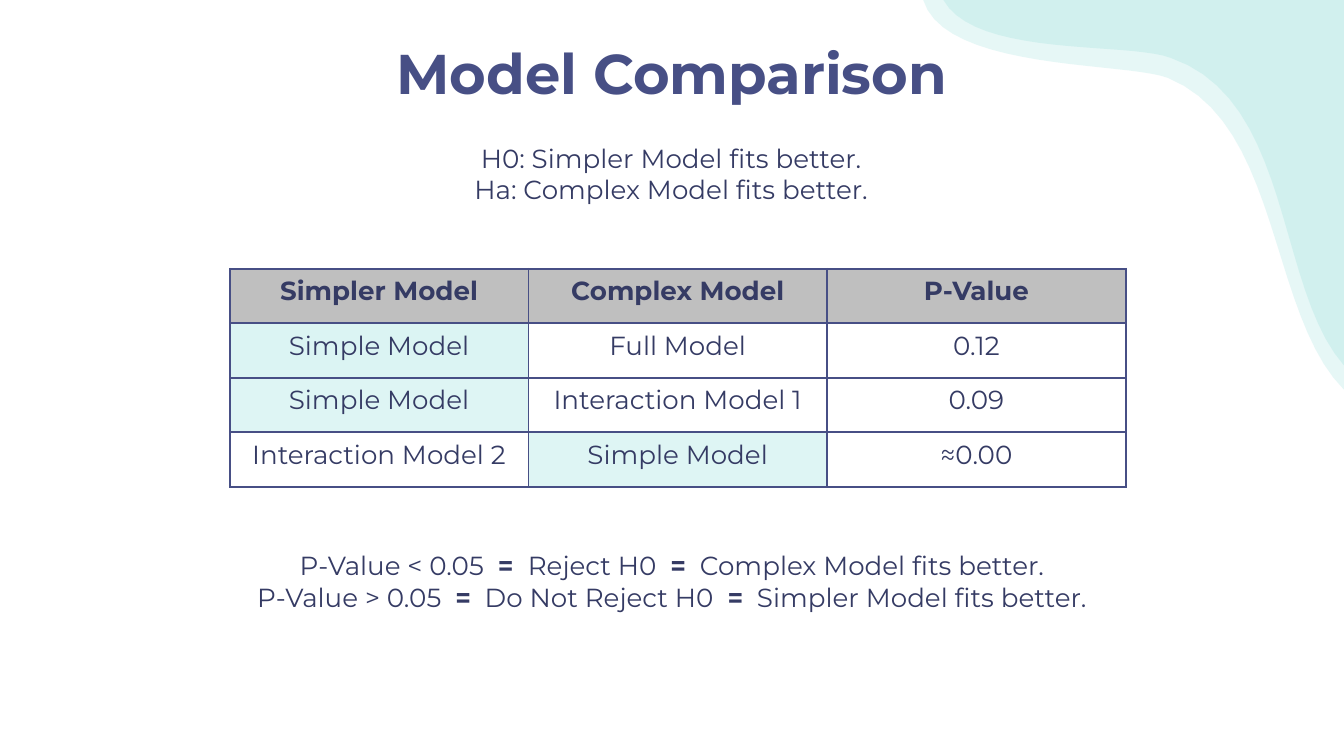
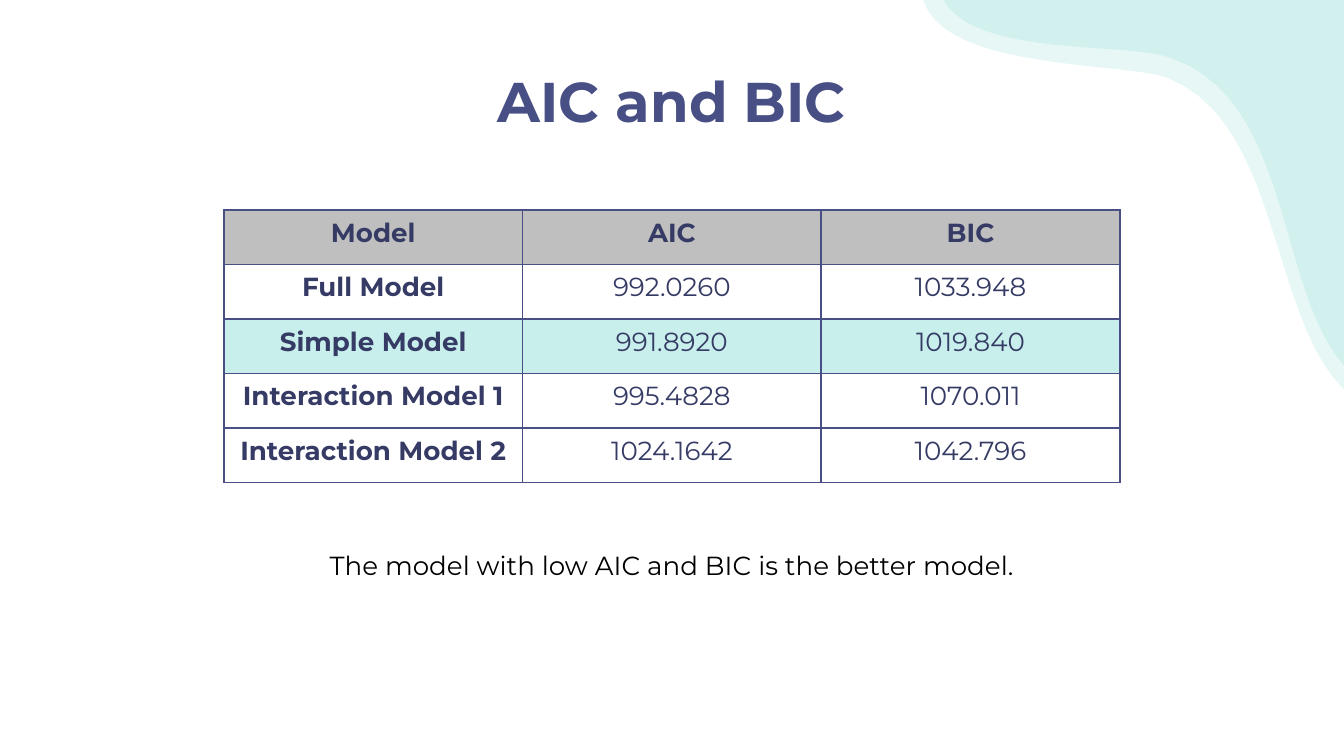
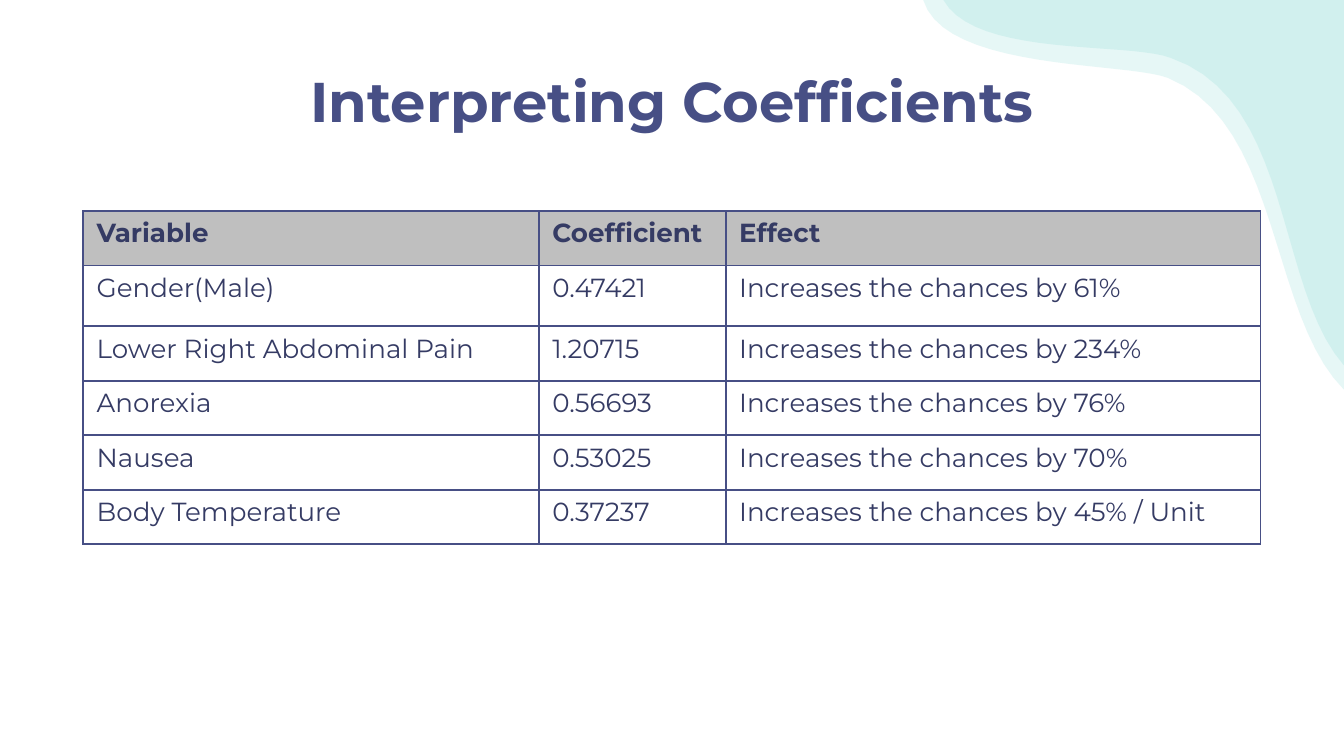
from lxml.etree import SubElement
from pptx import Presentation
from pptx.dml.color import RGBColor
from pptx.enum.text import MSO_ANCHOR, MSO_AUTO_SIZE, PP_ALIGN
from pptx.oxml.ns import qn
from pptx.util import Pt

HUES = {
    "title": "474F85", "text": "353B64", "black": "000000", "white": "FFFFFF",
    "wave": "5BCEC7", "head": "BFBFBF", "pale": "DBF4F3", "mint": "DEF5F4",
    "best": "C8EFEC",
}
ROW = 29.2

# Each wave: start, two cubic curves, closing corners
WAVES = [
    ((494.6, 0),
     [((506.2, 38.2), (603.4, 33.1), (625.7, 41.8)),
      ((686.2, 66.2), (679.7, 168.5), (720, 208.8))],
     [(720, 195.8), (720, 0)]),
    ((505.4, 0),
     [((522.7, 31), (604.1, 22.3), (627.1, 31)),
      ((692.6, 53.3), (683.3, 154.1), (720, 195.8))],
     [(720, 0)]),
]


def hue(name):
    return RGBColor.from_string(HUES[name])


def curve(ends, steps=20):
    """Points along a cubic curve, without its first one."""
    for step in range(1, steps + 1):
        t = step / steps
        parts = ((1 - t) ** 3, 3 * t * (1 - t) ** 2, 3 * t * t * (1 - t), t ** 3)
        yield tuple(sum(w * v for w, v in zip(parts, axis)) for axis in zip(*ends))


class Deck:
    font = {"name": "Montserrat", "size": Pt(14), "bold": False}

    def __init__(self):
        self.file = Presentation()
        self.file.slide_width, self.file.slide_height = Pt(720), Pt(405)
        self.plan = self.file.slide_layouts.get_by_name("Title Only")
        for holder in list(self.plan.placeholders)[1:]:
            holder.element.getparent().remove(holder.element)
        self.slide = None

    def page(self, title, top=35.2):
        first = self.slide is None
        self.slide = self.file.slides.add_slide(self.plan)
        if first:
            self.waves()
        shape = self.slide.shapes.title
        self.place(shape, (56.7, top, 606.6, 37.4))
        frame = shape.text_frame
        form = dict.fromkeys(("margin_left", "margin_top", "margin_right", "margin_bottom"), 0)
        form |= {"vertical_anchor": MSO_ANCHOR.MIDDLE, "auto_size": MSO_AUTO_SIZE.NONE}
        self.style(frame, form)
        self.words(frame, [f"*{title}*"], "title", size=Pt(30))

    def waves(self):
        """Draw the corner waves and move them to the shared layout."""
        for start, bends, ends in WAVES:
            dots, last = [], start
            for bend in bends:
                dots += curve((last, *bend))
                last = bend[-1]
            pen = self.slide.shapes.build_freeform(*map(Pt, start))
            pen.add_line_segments([(Pt(x), Pt(y)) for x, y in dots + ends])
            wave = pen.convert_to_shape()
            wave.shadow.inherit = False
            wave.line.fill.background()
            wave.fill.solid()
            wave.fill.fore_color.rgb = hue("wave")
            tint = next(wave.element.spPr.iter(qn("a:srgbClr")))
            SubElement(tint, qn("a:alpha"), val="15000")
            self.plan.shapes.element.append(wave.element)

    def style(self, item, form):
        for key, value in form.items():
            setattr(item, key, value)

    def place(self, shape, box):
        self.style(shape, dict(zip(("left", "top", "width", "height"), map(Pt, box))))

    def words(self, frame, lines, ink="text", align=PP_ALIGN.CENTER, **more):
        """Fill a frame line by line; *stars* mark bold text."""
        for spot, line in enumerate(lines):
            para = frame.add_paragraph() if spot else frame.paragraphs[0]
            para.alignment = align
            for turn, piece in enumerate(line.split("*")):
                if piece:
                    run = para.add_run()
                    run.text = piece
                    self.style(run.font, self.font | more | {"bold": turn % 2 == 1})
                    run.font.color.rgb = hue(ink)

    def note(self, box, lines, ink="text"):
        frame = self.slide.shapes.add_textbox(*map(Pt, box)).text_frame
        self.style(frame, {"word_wrap": True, "auto_size": MSO_AUTO_SIZE.SHAPE_TO_FIT_TEXT})
        self.words(frame, lines, ink)

    def edge(self, cell):
        props = cell._tc.get_or_add_tcPr()
        for side in "LRTB":
            line = SubElement(props, qn(f"a:ln{side}"), w=str(Pt(1)))
            fill = SubElement(line, qn("a:solidFill"))
            SubElement(fill, qn("a:srgbClr"), val=HUES["title"])

    def table(self, left, top, cols, rows, fills=None, base=None, tall=None,
              lead=False, align=PP_ALIGN.CENTER):
        fills = fills or {}
        highs = [(tall or {}).get(r, ROW) for r in range(len(rows))]
        box = left, top, sum(cols), sum(highs)
        grid = self.slide.shapes.add_table(len(rows), len(cols), *map(Pt, box)).table
        grid.horz_banding = False
        for col, wide in zip(grid.columns, cols):
            col.width = Pt(wide)
        for row, high in zip(grid.rows, highs):
            row.height = Pt(high)
        for r, row in enumerate(rows):
            for c, text in enumerate(row):
                cell = grid.cell(r, c)
                self.edge(cell)
                shade = fills.get((r, c), base) if r else "head"
                if shade:
                    cell.fill.solid()
                    cell.fill.fore_color.rgb = hue(shade)
                else:
                    cell.fill.background()
                bold = r == 0 or (lead and c == 0)
                self.words(cell.text_frame, [f"*{text}*" if bold else text], align=align)


def main():
    deck = Deck()

    # Model comparison
    deck.page("Model Comparison", top=20.2)
    deck.note((116.6, 72.7, 486, 41), [
        "H0: Simpler Model fits better.",
        "Ha: Complex Model fits better.",
    ])
    deck.table(123.1, 144, [160] * 3, [
        ("Simpler Model", "Complex Model", "P-Value"),
        ("Simple Model", "Full Model", "0.12"),
        ("Simple Model", "Interaction Model 1", "0.09"),
        ("Interaction Model 2", "Simple Model", "≈0.00"),
    ], fills={(1, 0): "pale", (2, 0): "mint", (3, 1): "mint"})
    deck.note((112.3, 290.9, 495.4, 41), [
        "P-Value < 0.05  *= * Reject H0  *=*  Complex Model fits better.",
        "P-Value > 0.05  *=*  Do Not Reject H0  *=*  Simpler Model fits better.",
    ])

    # Information criteria
    deck.page("AIC and BIC")
    deck.table(120, 112.5, [160] * 3, [
        ("Model", "AIC", "BIC"),
        ("Full Model", "992.0260", "1033.948"),
        ("Simple Model", "991.8920", "1019.840"),
        ("Interaction Model 1", "995.4828", "1070.011"),
        ("Interaction Model 2", "1024.1642", "1042.796"),
    ], fills={(2, c): "best" for c in range(3)}, base="white", lead=True)
    deck.note((148.5, 290.9, 423, 24.5),
              ["The model with low AIC and BIC is the better model."], "black")

    # Coefficients
    deck.page("Interpreting Coefficients")
    effects = [
        ("Gender(Male)", "0.47421", "61%"),
        ("Lower Right Abdominal Pain", "1.20715", "234%"),
        ("Anorexia", "0.56693", "76%"),
        ("Nausea", "0.53025", "70%"),
        ("Body Temperature", "0.37237", "45% / Unit"),
    ]
    deck.table(44.6, 113, [244.1, 100.1, 286.6], [
        ("Variable", "Coefficient", "Effect"),
        *((name, value, f"Increases the chances by {rise}") for name, value, rise in effects),
    ], tall={1: 32.6}, align=PP_ALIGN.JUSTIFY)

    deck.file.save("out.pptx")


if __name__ == "__main__":
    main()
